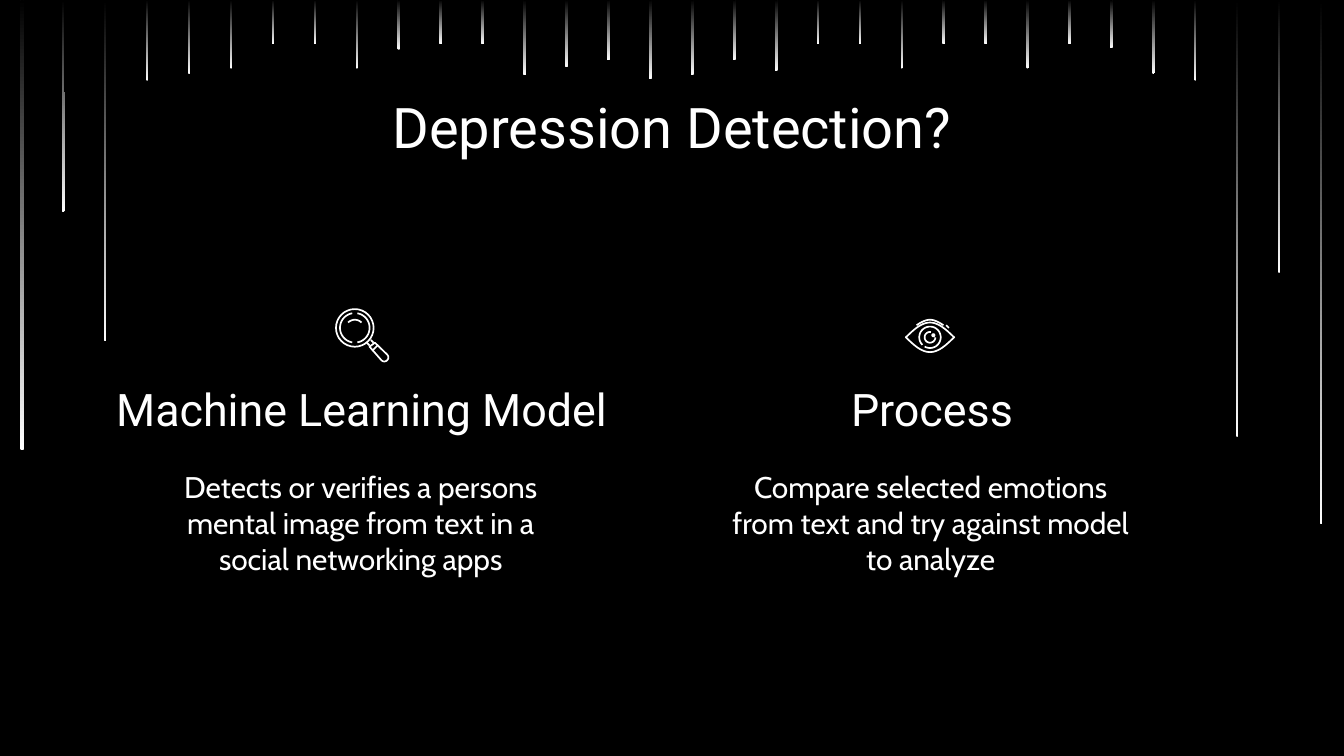
from dataclasses import dataclass
from math import cos, pi, radians, sin

from pptx import Presentation
from pptx.dml.color import RGBColor
from pptx.enum.shapes import MSO_SHAPE
from pptx.enum.text import MSO_ANCHOR, MSO_AUTO_SIZE, PP_ALIGN
from pptx.util import Inches, Pt

ROUNDED = MSO_SHAPE.ROUNDED_RECTANGLE
OVAL = MSO_SHAPE.OVAL
TOP = MSO_ANCHOR.TOP
NO_AUTOFIT = MSO_AUTO_SIZE.NONE
CENTER = PP_ALIGN.CENTER


@dataclass(frozen=True)
class Theme:
    background: RGBColor = RGBColor(0, 0, 0)
    foreground: RGBColor = RGBColor(255, 255, 255)
    heading_font: str = "Roboto"
    body_font: str = "Cabin"
    title_size: int = 30
    heading_size: int = 24
    body_size: int = 16
    icon_line: float = 0.9


THEME = Theme()
TITLE_ONLY = 5
SLIDE_WIDTH = Inches(10)
SLIDE_HEIGHT = SLIDE_WIDTH * 9 // 16
FIRST_BAR, LAST_BAR = 0.15, 9.82
BAR_LENGTHS = [
    3.35, 1.58, 2.54, 0.6, 0.55, 0.51, 0.33, 0.33,
    0.51, 0.37, 0.33, 0.33, 0.56, 0.5, 0.45, 0.59,
    0.56, 0.45, 0.53, 0.33, 0.33, 0.51, 0.33, 0.33,
    0.51, 0.33, 0.36, 0.55, 0.6, 3.25, 2.03, 3.9,
]
BAR_PITCH = (LAST_BAR - FIRST_BAR) / (len(BAR_LENGTHS) - 1)


def write_text(shape, box, text, font, size):
    shape.left, shape.top, shape.width, shape.height = map(Inches, box)
    frame = shape.text_frame
    frame.word_wrap = True
    frame.auto_size = NO_AUTOFIT
    frame.vertical_anchor = TOP
    frame.margin_left = frame.margin_right = Inches(0.1)
    frame.margin_top = frame.margin_bottom = Inches(0.1)
    paragraph = frame.paragraphs[0]
    paragraph.alignment = CENTER
    run = paragraph.add_run()
    run.text = text
    run.font.name = font
    run.font.size = Pt(size)
    run.font.color.rgb = THEME.foreground


def add_text(slide, box, text, font, size):
    shape = slide.shapes.add_textbox(*map(Inches, box))
    write_text(shape, box, text, font, size)


def add_bar(slide, index, length):
    width = 0.03 if index == 0 else 0.02
    shape = slide.shapes.add_shape(
        ROUNDED, Inches(FIRST_BAR + index * BAR_PITCH), 0, Inches(width), Inches(length)
    )
    shape.adjustments[0] = 0.5
    shape.shadow.inherit = False
    shape.line.fill.background()
    shape.fill.gradient()
    shape.fill.gradient_angle = 90
    start, end = shape.fill.gradient_stops
    start.color.rgb = THEME.foreground
    end.color.rgb = THEME.background


def add_stroke(group, points, closed=False):
    start, *rest = [(Inches(x), Inches(y)) for x, y in points]
    builder = group.shapes.build_freeform(*start)
    builder.add_line_segments(rest, close=closed)
    shape = builder.convert_to_shape()
    shape.shadow.inherit = False
    shape.fill.background()
    shape.line.color.rgb = THEME.foreground
    shape.line.width = Pt(THEME.icon_line)


def arc(center, radius, start, end, steps=32):
    angles = [radians(start + (end - start) * i / steps) for i in range(steps + 1)]
    return [(center[0] + radius * cos(a), center[1] + radius * sin(a)) for a in angles]


def arch(center, half_width, height, steps=24):
    positions = [2 * i / steps - 1 for i in range(steps + 1)]
    return [
        (center[0] + half_width * u, center[1] - height * cos(pi * u / 2))
        for u in positions
    ]


def add_magnifier(slide):
    group = slide.shapes.add_group_shape()
    lens = (2.64, 2.44)
    add_stroke(group, arc(lens, 0.14, 0, 360), closed=True)
    for start in (-80, 100):
        add_stroke(group, arc(lens, 0.11, start, start + 160))
    add_stroke(group, arc((2.64, 2.45), 0.07, 225, 315))
    grip = arc((2.86, 2.66), 0.03, 135, -45, 12)
    add_stroke(group, [(2.79, 2.55), (2.75, 2.58), *grip], closed=True)
    add_stroke(group, [(2.77, 2.61), (2.81, 2.57)])
    for x, y in [(2.73, 2.55), (2.76, 2.53)]:
        add_stroke(group, [(x, y), (x + 0.02, y + 0.02)])


def add_eye(slide):
    group = slide.shapes.add_group_shape()
    center = (6.92, 2.51)
    upper_lid = arch(center, 0.18, 0.11)
    lower_lid = arch(center, 0.18, -0.11)[-2:0:-1]
    add_stroke(group, upper_lid + lower_lid, closed=True)
    add_stroke(group, arch((6.92, 2.42), 0.1, 0.04))
    add_stroke(group, [(7.04, 2.42), (7.06, 2.44)])
    add_stroke(group, arc(center, 0.08, -225, 120))
    add_stroke(group, arc(center, 0.04, 0, 280))
    glint = group.shapes.add_shape(
        OVAL, Inches(6.93), Inches(2.48), Inches(0.03), Inches(0.03)
    )
    glint.shadow.inherit = False
    glint.fill.solid()
    glint.fill.fore_color.rgb = THEME.foreground
    glint.line.fill.background()


def main():
    presentation = Presentation()
    presentation.slide_width = SLIDE_WIDTH
    presentation.slide_height = SLIDE_HEIGHT
    slide = presentation.slides.add_slide(presentation.slide_layouts[TITLE_ONLY])
    slide.background.fill.solid()
    slide.background.fill.fore_color.rgb = THEME.background

    for index, length in enumerate(BAR_LENGTHS):
        add_bar(slide, index, length)

    write_text(slide.shapes.title, (0.78, 0.59, 8.44, 0.63),
               "Depression Detection?", THEME.heading_font, THEME.title_size)

    columns = [
        ((0.67, 2.74, 4.04, 0.63), "Machine Learning Model",
         (1.05, 3.39, 3.27, 1.29),
         "Detects or verifies a persons mental image from text in a social networking apps"),
        ((5.3, 2.74, 3.27, 0.63), "Process",
         (5.29, 3.39, 3.27, 1.29),
         "Compare selected emotions from text and try against model to analyze"),
    ]
    for heading_box, heading, body_box, body in columns:
        add_text(slide, body_box, body, THEME.body_font, THEME.body_size)
        add_text(slide, heading_box, heading, THEME.heading_font, THEME.heading_size)

    add_eye(slide)
    add_magnifier(slide)
    presentation.save("out.pptx")


if __name__ == "__main__":
    main()
